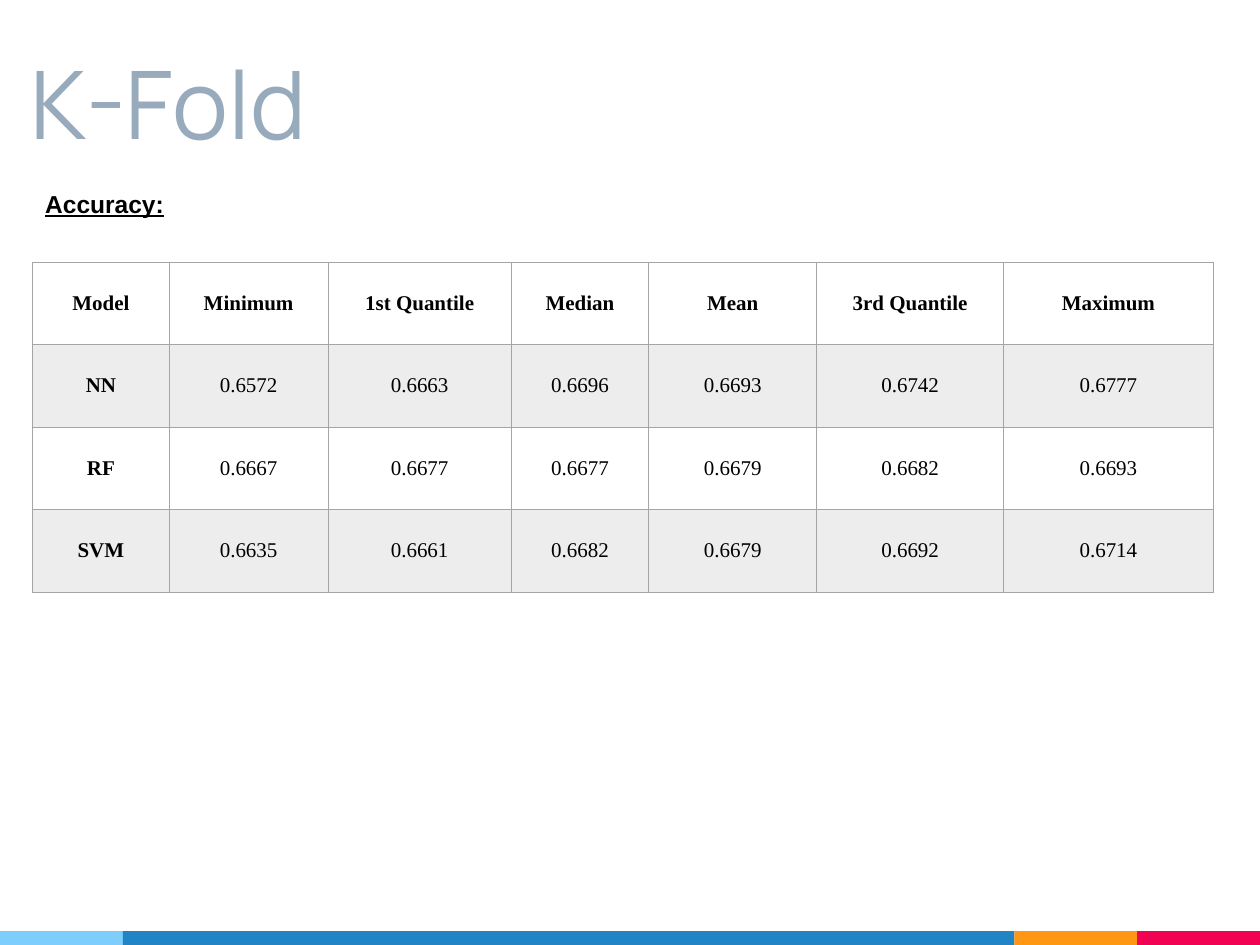
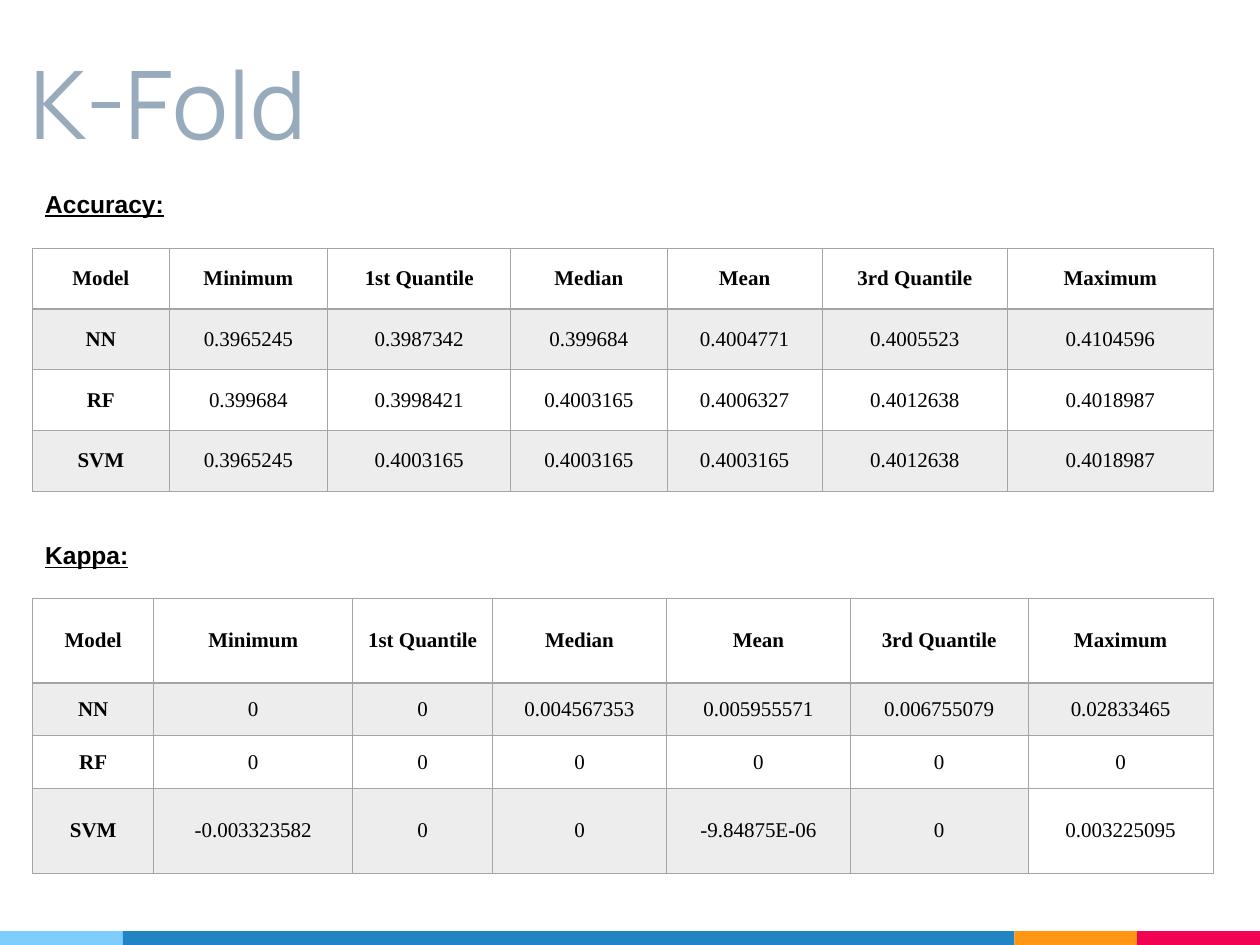
import dataclasses

import lxml.etree
import pptx
import pptx.dml.color
import pptx.enum.shapes
import pptx.enum.text
import pptx.oxml.ns
import pptx.util

RGBColor = pptx.dml.color.RGBColor
SKY = RGBColor(0x7E, 0xCE, 0xFD)
BLUE = RGBColor(0x21, 0x85, 0xC5)
ORANGE = RGBColor(0xFF, 0x97, 0x15)
RED = RGBColor(0xF2, 0x02, 0x53)
TITLE_GREY = RGBColor(0x97, 0xAB, 0xBC)
BLACK = RGBColor(0x00, 0x00, 0x00)
STRIPE = RGBColor(0xED, 0xED, 0xED)
BORDER = RGBColor(0xA5, 0xA5, 0xA5)

COLUMNS, ROWS = 100, 75
CELL = pptx.util.Inches(0.1)
TITLE_ONLY = 5


@dataclasses.dataclass
class Box:
    left: float
    top: float
    width: float
    height: float

    def lengths(self):
        return [grid(n) for n in (self.left, self.top, self.width, self.height)]


TITLE_BOX = Box(1.4, 1.1, 83.4, 12.5)
BAND_BOX = Box(0, ROWS - 1.1, COLUMNS, 1.1)
BANDS = [(SKY, 0.0975), (BLUE, 0.7075), (ORANGE, 0.0975), (RED, 0.0975)]
LABEL_LEFT, LABEL_WIDTH, LABEL_HEIGHT = 2.6, 71.1, 3.4
TABLE_LEFT, TABLE_WIDTH = 2.6, 93.7

HEADINGS = ["Model", "Minimum", "1st Quantile", "Median", "Mean", "3rd Quantile", "Maximum"]
ACCURACY_SHORT = [
    ["NN", "0.6572", "0.6663", "0.6696", "0.6693", "0.6742", "0.6777"],
    ["RF", "0.6667", "0.6677", "0.6677", "0.6679", "0.6682", "0.6693"],
    ["SVM", "0.6635", "0.6661", "0.6682", "0.6679", "0.6692", "0.6714"],
]
ACCURACY_LONG = [
    ["NN", "0.3965245", "0.3987342", "0.399684", "0.4004771", "0.4005523", "0.4104596"],
    ["RF", "0.399684", "0.3998421", "0.4003165", "0.4006327", "0.4012638", "0.4018987"],
    ["SVM", "0.3965245", "0.4003165", "0.4003165", "0.4003165", "0.4012638", "0.4018987"],
]
KAPPA = [
    ["NN", "0", "0", "0.004567353", "0.005955571", "0.006755079", "0.02833465"],
    ["RF", "0", "0", "0", "0", "0", "0"],
    ["SVM", "-0.003323582", "0", "0", "-9.84875E-06", "0", "0.003225095"],
]


def grid(cells):
    return round(cells * CELL)


def format_runs(para, font_name, size, color, bold=False, underline=False):
    for span in para.runs:
        span.font.name = font_name
        span.font.size = pptx.util.Pt(size)
        span.font.color.rgb = color
        span.font.bold = bold
        span.font.underline = underline


def add_bands(page, box):
    left = box.left
    for color, share in BANDS:
        width = box.width * share
        band = page.shapes.add_shape(
            pptx.enum.shapes.MSO_SHAPE.RECTANGLE,
            *Box(left, box.top, width, box.height).lengths())
        band.shadow.inherit = False
        band.fill.solid()
        band.fill.fore_color.rgb = color
        band.line.fill.background()
        left += width


def set_title(page, box, text):
    title = page.shapes.title
    title.left, title.top, title.width, title.height = box.lengths()
    frame = title.text_frame
    frame.text = text
    frame.word_wrap = True
    frame.auto_size = pptx.enum.text.MSO_AUTO_SIZE.NONE
    frame.vertical_anchor = pptx.enum.text.MSO_ANCHOR.BOTTOM
    frame.margin_left = frame.margin_right = CELL
    frame.margin_top = frame.margin_bottom = CELL
    para = frame.paragraphs[0]
    para.alignment = pptx.enum.text.PP_ALIGN.LEFT
    format_runs(para, "Manrope", 54, TITLE_GREY)


def add_label(page, box, text):
    label = page.shapes.add_textbox(*box.lengths())
    frame = label.text_frame
    frame.text = text
    frame.word_wrap = True
    frame.auto_size = pptx.enum.text.MSO_AUTO_SIZE.SHAPE_TO_FIT_TEXT
    format_runs(frame.paragraphs[0], "Arial", 14, BLACK, bold=True, underline=True)


def set_border(cell, widths):
    properties = cell._tc.get_or_add_tcPr()
    for index, (side, width) in enumerate(widths.items()):
        line = lxml.etree.Element(pptx.oxml.ns.qn(f"a:ln{side}"), w=str(pptx.util.Pt(width)))
        fill = lxml.etree.SubElement(line, pptx.oxml.ns.qn("a:solidFill"))
        lxml.etree.SubElement(fill, pptx.oxml.ns.qn("a:srgbClr"), val=str(BORDER))
        properties.insert(index, line)


def fill_cell(cell, text, bold, striped, widths):
    cell.text_frame.text = text
    cell.vertical_anchor = pptx.enum.text.MSO_ANCHOR.MIDDLE
    margin = grid(0.7)
    cell.margin_left = cell.margin_right = margin
    cell.margin_top = cell.margin_bottom = margin
    para = cell.text_frame.paragraphs[0]
    para.alignment = pptx.enum.text.PP_ALIGN.CENTER
    format_runs(para, "Times New Roman", 12, BLACK, bold=bold)
    if striped:
        cell.fill.solid()
        cell.fill.fore_color.rgb = STRIPE
    else:
        cell.fill.background()
    set_border(cell, widths)


def add_scores(page, box, models, column_shares, row_shares, unstriped=()):
    lines = [HEADINGS, *models]
    table = page.shapes.add_table(len(lines), len(HEADINGS), *box.lengths()).table
    table.first_row = table.horz_banding = False
    for column, share in zip(table.columns, column_shares):
        column.width = grid(box.width * share / sum(column_shares))
    for row, share in zip(table.rows, row_shares):
        row.height = grid(box.height * share / sum(row_shares))
    for r, line in enumerate(lines):
        widths = {"L": 0.5, "R": 0.5, "T": 1 if r == 1 else 0.5, "B": 1 if r == 0 else 0.5}
        for c, text in enumerate(line):
            striped = r % 2 == 1 and (r, c) not in unstriped
            fill_cell(table.cell(r, c), text, r == 0 or c == 0, striped, widths)


def add_section(page, label, label_top, table_top, table_height, **scores):
    add_label(page, Box(LABEL_LEFT, label_top, LABEL_WIDTH, LABEL_HEIGHT), label)
    add_scores(page, Box(TABLE_LEFT, table_top, TABLE_WIDTH, table_height), **scores)


def add_page(deck):
    page = deck.slides.add_slide(deck.slide_layouts[TITLE_ONLY])
    add_bands(page, BAND_BOX)
    set_title(page, TITLE_BOX, "K-Fold")
    return page


def main():
    deck = pptx.Presentation()
    deck.slide_width, deck.slide_height = grid(COLUMNS), grid(ROWS)

    page = add_page(deck)
    add_section(page, "Accuracy:", 14.5, 20.8, 26.2, models=ACCURACY_SHORT,
                column_shares=[1.08, 1.26, 1.45, 1.09, 1.33, 1.48, 1.66],
                row_shares=[1, 1, 1, 1])

    page = add_page(deck)
    add_section(page, "Accuracy:", 14.5, 19.7, 19.3, models=ACCURACY_LONG,
                column_shares=[1.08, 1.26, 1.45, 1.24, 1.23, 1.47, 1.63],
                row_shares=[1, 1, 1, 1])
    add_section(page, "Kappa:", 42.4, 47.5, 21.8, models=KAPPA,
                column_shares=[0.96, 1.58, 1.11, 1.38, 1.46, 1.41, 1.47],
                row_shares=[0.67, 0.42, 0.42, 0.67], unstriped=[(3, 6)])

    deck.save("out.pptx")


if __name__ == "__main__":
    main()
